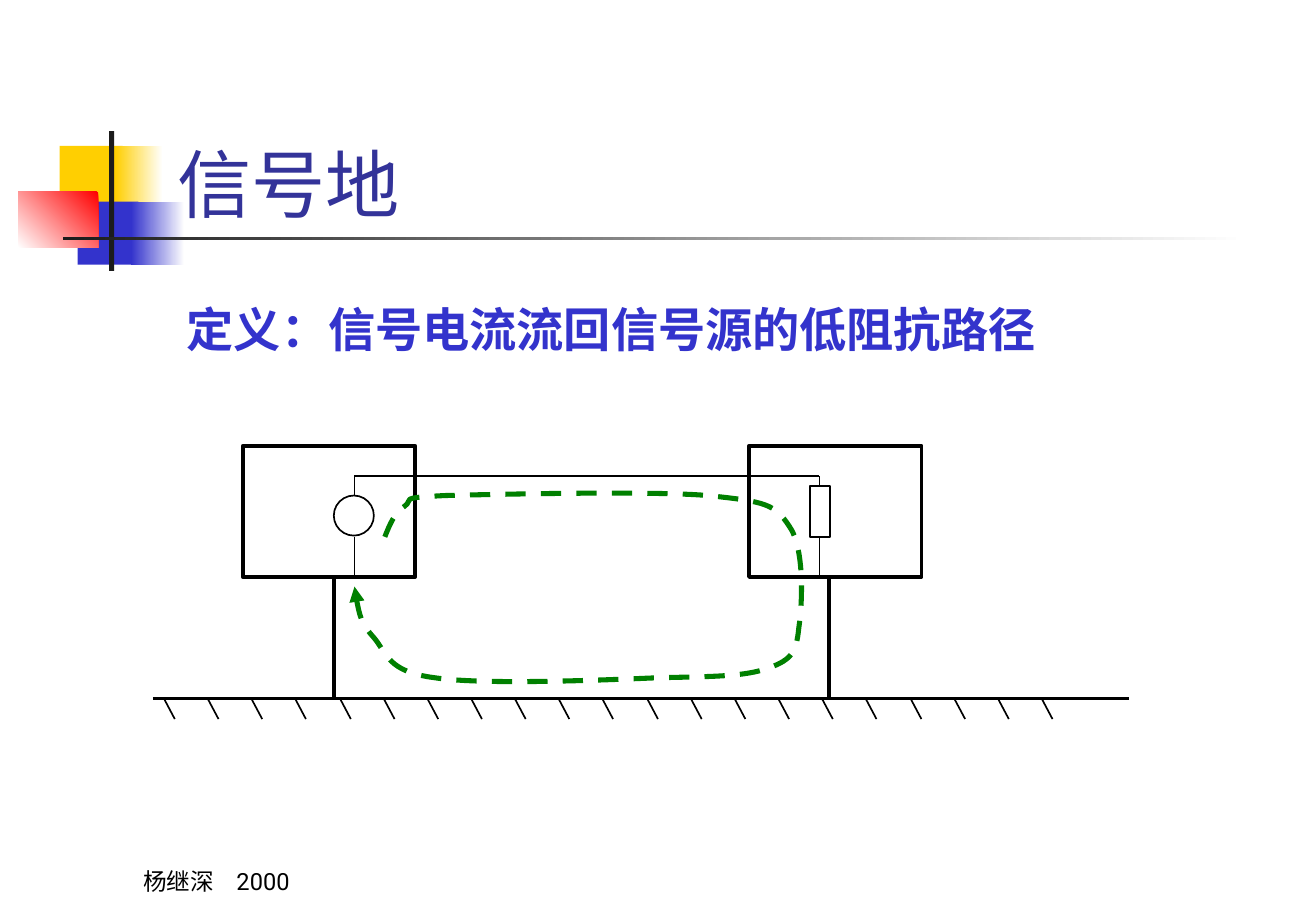
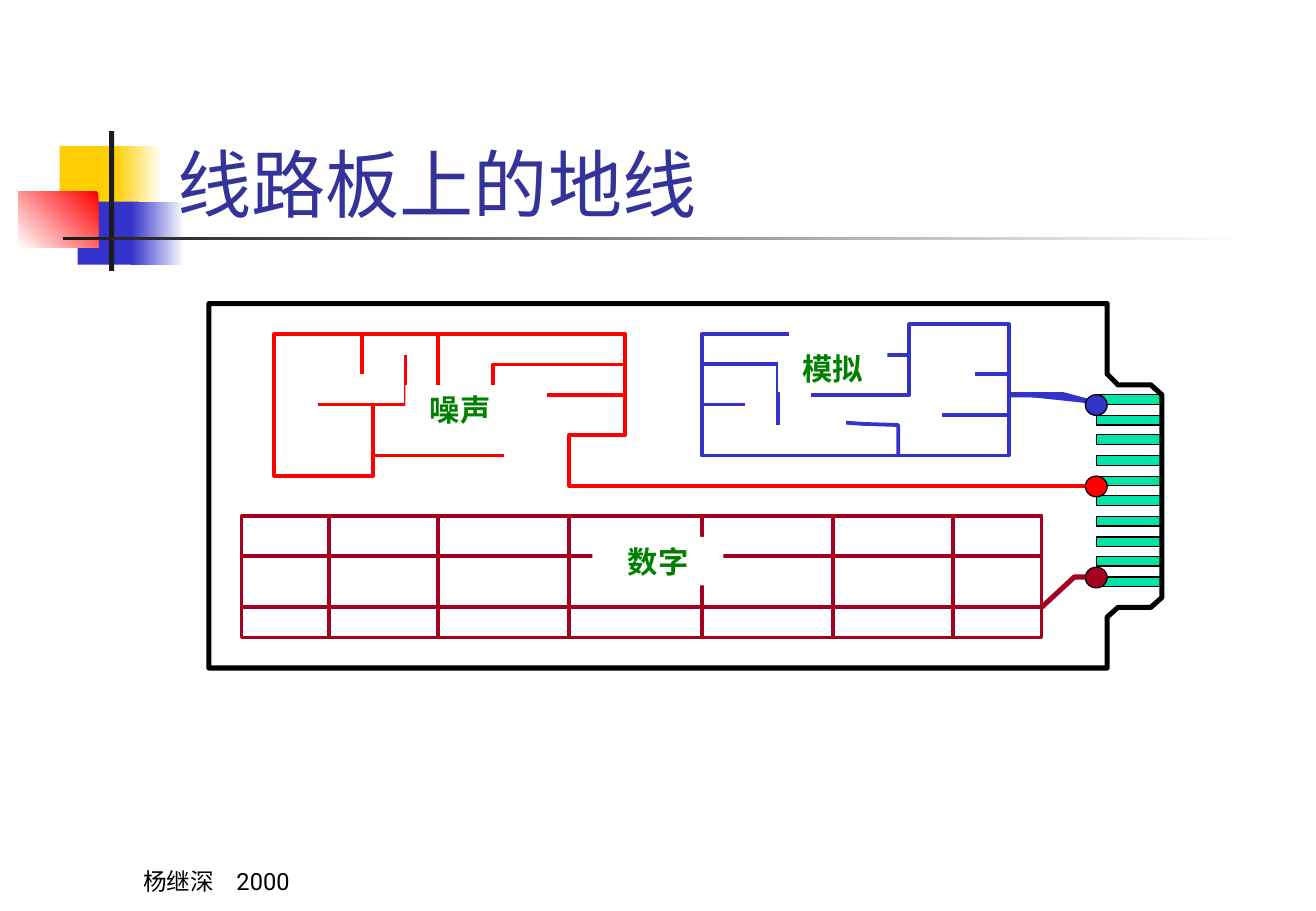
from lxml import etree
from pptx import Presentation
from pptx.dml.color import RGBColor
from pptx.enum.dml import MSO_LINE
from pptx.enum.shapes import MSO_CONNECTOR, MSO_SHAPE
from pptx.enum.text import MSO_ANCHOR, MSO_AUTO_SIZE, PP_ALIGN
from pptx.oxml.ns import qn
from pptx.util import Pt

PX = 9144
RECT = MSO_SHAPE.RECTANGLE
OVAL = MSO_SHAPE.OVAL
STRAIGHT = MSO_CONNECTOR.STRAIGHT
DASH = MSO_LINE.DASH
TOP, MIDDLE, BOTTOM = MSO_ANCHOR.TOP, MSO_ANCHOR.MIDDLE, MSO_ANCHOR.BOTTOM
LEFT, CENTER = PP_ALIGN.LEFT, PP_ALIGN.CENTER
NO_FIT = MSO_AUTO_SIZE.NONE

BLACK, WHITE, DARK = "000000", "FFFFFF", "1C1C1C"
YELLOW, BLUE, RED = "FFCF01", "3333CC", "FF0000"
INDIGO, GREEN, MINT, MAROON = "333399", "008000", "00E4A8", "A50021"

TITLE_FONT = {"name": "Roboto", "size": Pt(44), "bold": False}
DEFINITION_FONT = {"name": "Times New Roman", "size": Pt(28), "bold": True}
LABEL_FONT = {"name": "Roboto", "size": Pt(18), "bold": True}
FOOTER_FONT = {"name": "Roboto", "size": Pt(14), "bold": False}


def paint(shape, fill=None, line=None, width=1, angle=0):
    if hasattr(shape, "fill"):
        if fill is None:
            shape.fill.background()
        elif isinstance(fill, tuple):
            shape.fill.gradient()
            shape.fill.gradient_angle = 360 - angle
            for stop, color in zip(shape.fill.gradient_stops, fill):
                stop.color.rgb = RGBColor.from_string(color)
        else:
            shape.fill.solid()
            shape.fill.fore_color.rgb = RGBColor.from_string(fill)
    if line is None:
        shape.line.fill.background()
    else:
        shape.line.color.rgb = RGBColor.from_string(line)
        shape.line.width = Pt(width)
    etree.SubElement(shape.element.spPr, qn("a:effectLst"))


def write(box, text, font, color, anchor, align=LEFT):
    frame = box.text_frame
    settings = {"word_wrap": True, "auto_size": NO_FIT, "vertical_anchor": anchor}
    for name, value in settings.items():
        setattr(frame, name, value)
    para = frame.paragraphs[0]
    para.alignment = align
    span = para.add_run()
    span.text = text
    for name, value in font.items():
        setattr(span.font, name, value)
    span.font.color.rgb = RGBColor.from_string(color)
    return para


deck = Presentation()
deck.slide_width, deck.slide_height = 1084 * PX, 750 * PX
layout = deck.slide_layouts[5]
layout_title = layout.placeholders[0]
title_place = {"left": 136, "top": 67, "width": 923, "height": 125}
for name, value in title_place.items():
    setattr(layout_title, name, value * PX)

pages = []
for title in ("信号地", "线路板上的地线"):
    page = deck.slides.add_slide(layout)
    write(page.shapes.title, title, TITLE_FONT, INDIGO, BOTTOM)
    footer = page.shapes.add_textbox(108 * PX, 692 * PX, 226 * PX, 50 * PX)
    para = write(footer, "杨继深\t2000", FOOTER_FONT, BLACK, BOTTOM)
    tabs = etree.SubElement(para._p.get_or_add_pPr(), qn("a:tabLst"))
    etree.SubElement(tabs, qn("a:tab"), pos=str(77 * PX), algn="l")
    pages.append(page)
signal_page, board_page = pages

ornaments = [
    (49, 120, 52, 52, YELLOW, 0),
    (95, 120, 39, 52, (WHITE, YELLOW), 180),
    (64, 166, 50, 52, BLUE, 0),
    (108, 166, 44, 52, (WHITE, BLUE), 180),
    (15, 158, 66, 46, (RED, WHITE), 135),
    (90, 108, 4, 115, DARK, 0),
    (52, 195, 975, 3, (WHITE, DARK), 180),
]
for index, (*place, fill, angle) in enumerate(ornaments):
    ornament = signal_page.shapes.add_shape(RECT, *[value * PX for value in place])
    paint(ornament, fill, angle=angle)
    ornament.element.nvSpPr.cNvPr.set("id", str(100 + index))
    layout_title.element.addprevious(ornament.element)

shapes = signal_page.shapes
circuit_parts = [
    (RECT, 200, 367, 142, 108, 2.25),
    (RECT, 617, 367, 142, 108, 2.25),
    (OVAL, 275, 408, 33, 33, 1),
    (RECT, 667, 400, 17, 42, 1),
]
for kind, *place, width in circuit_parts:
    part = shapes.add_shape(kind, *[value * PX for value in place])
    paint(part, WHITE, BLACK, width)

wires = [
    (126, 575, 930, 575, 2.25),
    (275, 475, 275, 575, 2.25),
    (683, 475, 683, 575, 2.25),
    (292, 442, 292, 475, 1),
    (292, 408, 292, 392, 1),
    (292, 392, 675, 392, 1),
    (675, 392, 675, 400, 1),
    (675, 442, 675, 475, 1),
]
for index in range(21):
    left = round(135 + index * 36.15)
    wires.append((left, 575, left + 9, 592, 1))
for *ends, width in wires:
    wire = shapes.add_connector(STRAIGHT, *[value * PX for value in ends])
    paint(wire, line=BLACK, width=width)

loop_points = [
    (317, 442),
    (321, 432), (325, 422), (333, 417),
    (342, 411), (325, 410), (367, 408),
    (408, 407), (536, 404), (583, 408),
    (631, 413), (638, 415), (650, 433),
    (663, 451), (661, 497), (658, 517),
    (656, 536), (653, 543), (633, 550),
    (614, 557), (588, 557), (542, 558),
    (496, 560), (397, 564), (358, 558),
    (319, 553), (319, 538), (308, 525),
    (297, 513), (294, 498), (292, 483),
]
builder = shapes.build_freeform(*loop_points[0], scale=PX)
builder.add_line_segments(loop_points[1:], close=False)
current_loop = builder.convert_to_shape()
paint(current_loop, line=GREEN, width=3)
current_loop.line.dash_style = DASH
outline = current_loop.element.spPr.find(qn("a:ln"))
etree.SubElement(outline, qn("a:tailEnd"), type="triangle")
segments = list(current_loop.element.iter(qn("a:lnTo")))
for start in range(0, len(segments), 3):
    curve = etree.Element(qn("a:cubicBezTo"))
    segments[start].addprevious(curve)
    for segment in segments[start:start + 3]:
        curve.append(segment[0])
        segment.getparent().remove(segment)

definition = shapes.add_textbox(144 * PX, 242 * PX, 869 * PX, 57 * PX)
write(definition, "定义：信号电流流回信号源的低阻抗路径", DEFINITION_FONT, BLUE, TOP)

shapes = board_page.shapes
for index in range(10):
    top = round(325 + index * 50 / 3)
    finger = shapes.add_shape(RECT, 903 * PX, top * PX, 54 * PX, 8 * PX)
    paint(finger, MINT, BLACK, 0.75)

board_edge = [
    (172, 250), (172, 550), (912, 550), (912, 508), (921, 500), (948, 500),
    (957, 492), (957, 325), (948, 317), (921, 317), (912, 308), (912, 250),
]
builder = shapes.build_freeform(*board_edge[0], scale=PX)
builder.add_line_segments(board_edge[1:], close=True)
paint(builder.convert_to_shape(), line=BLACK, width=3)

analog_traces = [
    [(650, 275), (578, 275), (578, 375), (831, 375), (831, 267), (749, 267),
     (749, 325), (668, 325)],
    [(578, 333), (614, 333)],
    [(749, 292), (713, 292)],
    [(803, 308), (831, 308)],
    [(776, 342), (831, 342)],
    [(697, 348), (710, 349), (740, 350), (740, 375)],
    [(578, 300), (641, 300), (641, 350)],
]
noise_traces = [
    [(307, 333), (307, 392), (226, 392), (226, 275), (515, 275), (515, 358),
     (469, 358), (469, 400), (903, 400)],
    [(298, 275), (298, 308)],
    [(361, 275), (361, 342)],
    [(262, 333), (334, 333), (334, 292)],
    [(515, 300), (406, 300), (406, 342)],
    [(515, 325), (451, 325)],
    [(307, 375), (415, 375)],
]
digital_traces = [[(199, y), (858, y)] for y in (458, 500)]
digital_traces += [[(x, 425), (x, 525)] for x in (271, 361, 469, 578, 686, 785)]
trace_groups = [
    (BLUE, 2.25, None, analog_traces),
    (BLUE, 3, BLUE, [[(831, 325), (876, 325), (906, 333)]]),
    (RED, 2.25, None, noise_traces),
    (MAROON, 2.25, None, digital_traces),
    (MAROON, 3, None, [[(858, 500), (885, 475), (912, 475)]]),
]
for color, width, fill, traces in trace_groups:
    for points in traces:
        if len(points) == 2:
            ends = [value * PX for point in points for value in point]
            trace = shapes.add_connector(STRAIGHT, *ends)
        else:
            builder = shapes.build_freeform(*points[0], scale=PX)
            builder.add_line_segments(points[1:], close=False)
            trace = builder.convert_to_shape()
        paint(trace, fill, color, width)

digital_frame = shapes.add_shape(RECT, 199 * PX, 425 * PX, 659 * PX, 100 * PX)
paint(digital_frame, line=MAROON, width=2.25)

for top, color in ((325, BLUE), (392, RED), (467, MAROON)):
    pad = shapes.add_shape(OVAL, 894 * PX, top * PX, 18 * PX, 17 * PX)
    paint(pad, color, BLACK, 0.75)

labels = [("噪声", 334, 317, 90), ("模拟", 641, 283, 90), ("数字", 488, 442, 108)]
for text, left, top, width in labels:
    label = shapes.add_shape(RECT, left * PX, top * PX, width * PX, 40 * PX)
    paint(label, WHITE)
    write(label, text, LABEL_FONT, GREEN, MIDDLE, CENTER)

deck.save("out.pptx")
